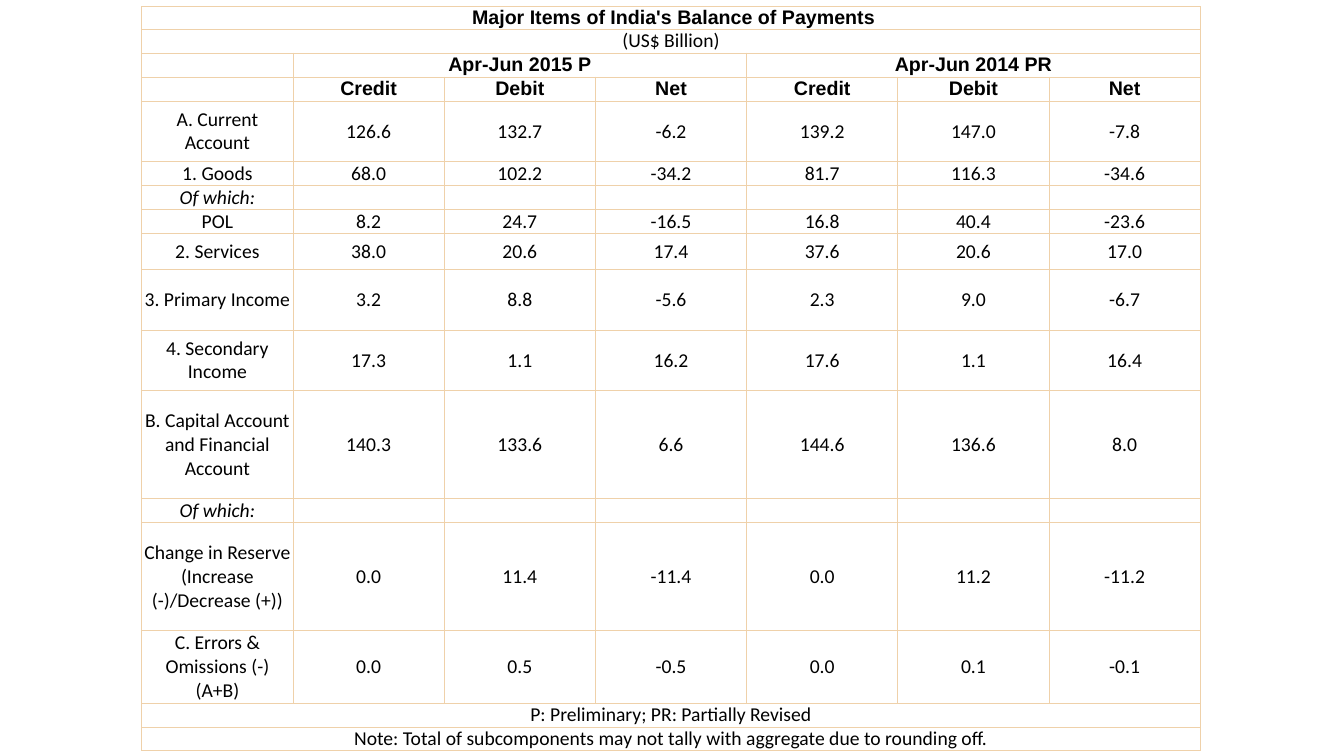
import dataclasses

import lxml.etree
import pptx
import pptx.dml.color
import pptx.enum.text
import pptx.oxml.ns
import pptx.table
import pptx.util

Pt = pptx.util.Pt
qn = pptx.oxml.ns.qn
BLACK = pptx.dml.color.RGBColor(0x00, 0x00, 0x00)
WHITE = pptx.dml.color.RGBColor(0xFF, 0xFF, 0xFF)
SAND = pptx.dml.color.RGBColor(0xEF, 0xD1, 0xAA)
SIZE = Pt(14)
COLS = 7
WIDE = 108
LINE = 17.1  # height of a row with one line of text


@dataclasses.dataclass
class Row:
    texts: list[str]
    high: float = LINE
    head: bool = False
    slant: bool = False
    span: int = 1  # columns that each text covers


def item(label: str, values: str, high: float = LINE) -> Row:
    return Row([label, *values.split()], high)


def note(text: str) -> Row:
    return Row([text], span=COLS)


of_which = Row(["Of which:"] + [""] * 6, slant=True)

# Rows of the table
ROWS = [
    Row(["\u00a0Major Items of India's Balance of Payments"], 16.2, head=True, span=COLS),
    note("(US$ Billion)"),
    Row(["", "Apr-Jun 2015 P", "Apr-Jun 2014 PR"], head=True, span=3),
    Row([""] + ["Credit", "Debit", "Net"] * 2, head=True),
    item("A. Current Account", "126.6 132.7 -6.2 139.2 147.0 -7.8", 43.2),
    item("1. Goods", "68.0 102.2 -34.2 81.7 116.3 -34.6"),
    of_which,
    item("POL", "8.2 24.7 -16.5 16.8 40.4 -23.6"),
    item("2. Services", "38.0 20.6 17.4 37.6 20.6 17.0", 25.9),
    item("3. Primary Income", "3.2 8.8 -5.6 2.3 9.0 -6.7", 43.2),
    item("4. Secondary Income", "17.3 1.1 16.2 17.6 1.1 16.4", 43.2),
    item("B. Capital Account and Financial Account",
         "140.3 133.6 6.6 144.6 136.6 8.0", 77.2),
    of_which,
    item("Change in Reserve (Increase (-)/Decrease (+))",
         "0.0 11.4 -11.4 0.0 11.2 -11.2", 77.2),
    item("C. Errors & Omissions (-) (A+B)", "0.0 0.5 -0.5 0.0 0.1 -0.1", 51.8),
    note("P: Preliminary; PR: Partially Revised"),
    note("Note: Total of subcomponents may not tally with aggregate due to rounding off."),
]


def style(cell: pptx.table._Cell) -> None:
    """Give a cell its borders, fill and margins."""
    props = cell._tc.get_or_add_tcPr()
    for side in ("a:lnL", "a:lnR", "a:lnT", "a:lnB"):
        line = lxml.etree.SubElement(props, qn(side), w=str(Pt(0.75)))
        paint = lxml.etree.SubElement(line, qn("a:solidFill"))
        lxml.etree.SubElement(paint, qn("a:srgbClr"), val=str(SAND))
    cell.fill.solid()
    cell.fill.fore_color.rgb = WHITE
    cell.margin_left = cell.margin_right = Pt(0.72)
    cell.margin_top = cell.margin_bottom = Pt(0)
    cell.vertical_anchor = pptx.enum.text.MSO_ANCHOR.MIDDLE


def write(cell: pptx.table._Cell, text: str, row: Row) -> None:
    """Put one centred run in a cell, or size its empty line."""
    para = cell.text_frame.paragraphs[0]
    para.alignment = pptx.enum.text.PP_ALIGN.CENTER
    if not text:
        end = lxml.etree.SubElement(para._p, qn("a:endParaRPr"), sz=str(int(SIZE.pt * 100)))
        lxml.etree.SubElement(end, qn("a:latin"), typeface="Calibri")
        return
    run = para.add_run()
    run.text = text
    run.font.name = "Arial" if row.head else "Calibri"
    run.font.size = SIZE
    run.font.bold = row.head
    run.font.italic = row.slant
    run.font.color.rgb = BLACK


def draw(table: pptx.table.Table, index: int, row: Row) -> None:
    """Fill one row; a label before spanned groups keeps one column."""
    table.rows[index].height = Pt(row.high)
    for col in range(COLS):
        style(table.cell(index, col))
    col = 0
    for text in row.texts:
        span = row.span if text else 1
        cell = table.cell(index, col)
        if span > 1:
            cell.merge(table.cell(index, col + span - 1))
        write(cell, text, row)
        col += span


# Slide
deck = pptx.Presentation()
deck.slide_width, deck.slide_height = Pt(960), Pt(540)
slide = deck.slides.add_slide(deck.slide_layouts[6])

# Balance of payments table
total = sum(row.high for row in ROWS)
frame = slide.shapes.add_table(
    len(ROWS), COLS, Pt(101.3), Pt(4.7), Pt(COLS * WIDE), Pt(total))
table = frame.table
table.first_row = table.horz_banding = False
for column in table.columns:
    column.width = Pt(WIDE)
for index, row in enumerate(ROWS):
    draw(table, index, row)

deck.save("out.pptx")
